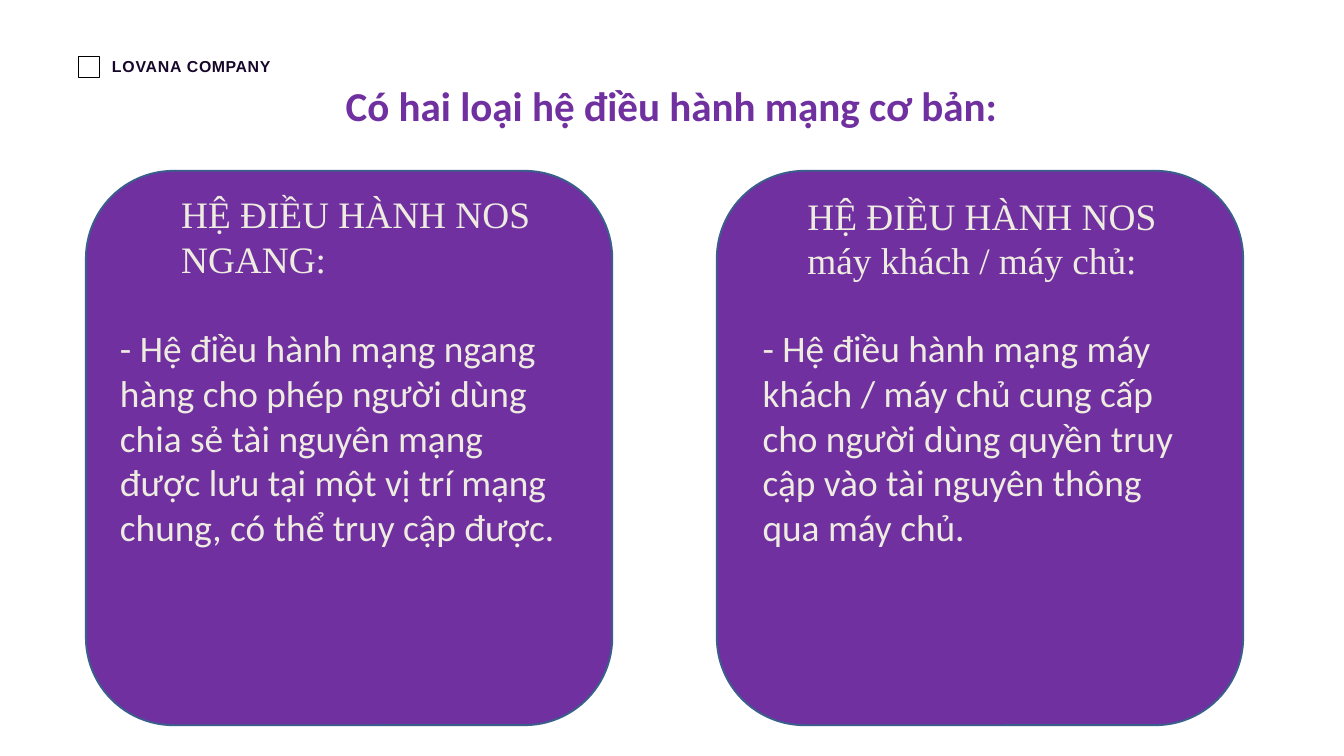
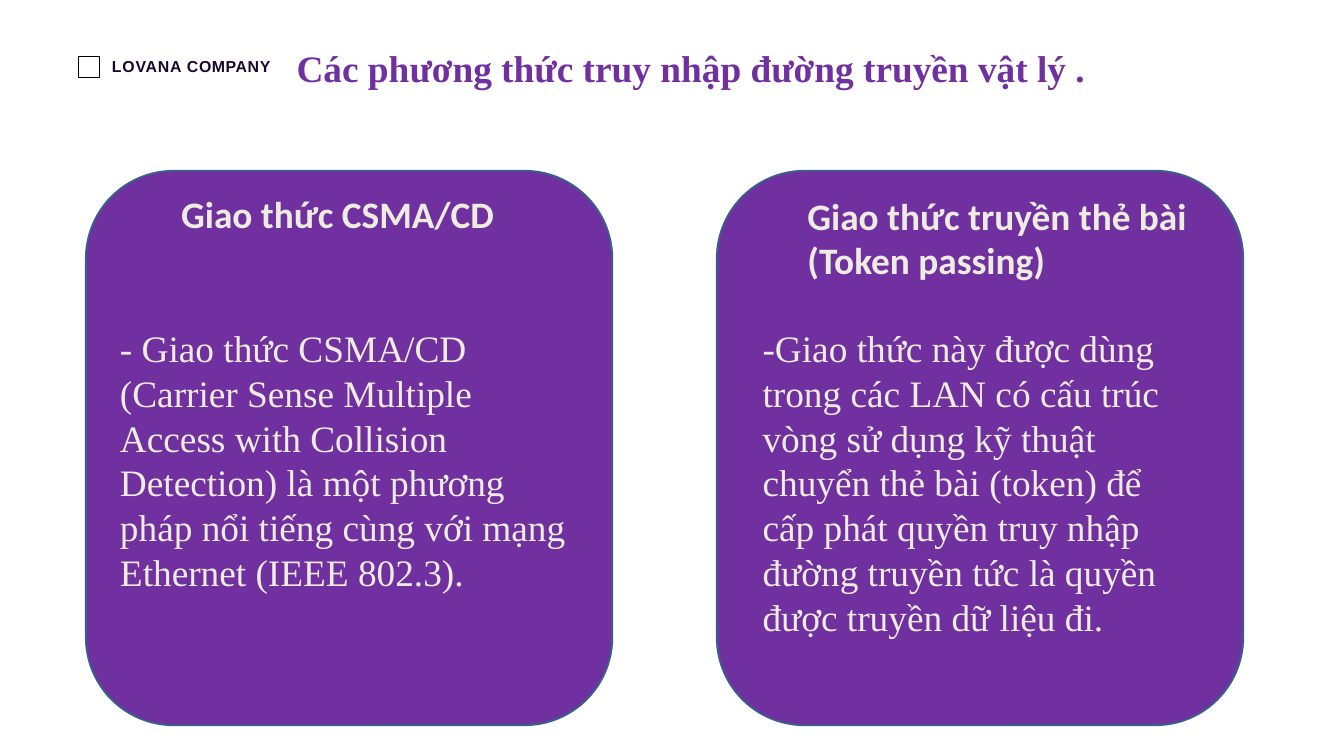
from dataclasses import dataclass

import pptx
import pptx.util
import pptx.dml.color
import pptx.enum.shapes
import pptx.enum.text

Pt = pptx.util.Pt
RGB = pptx.dml.color.RGBColor.from_string
ALIGN = pptx.enum.text.PP_ALIGN
ROUND = pptx.enum.shapes.MSO_SHAPE.ROUNDED_RECTANGLE
SQUARE = pptx.enum.shapes.MSO_SHAPE.RECTANGLE


@dataclass(frozen=True)
class Theme:
    purple: str = "7030A0"
    outline: str = "3A5F8C"
    cream: str = "EEECE1"
    ink: str = "17072A"
    black: str = "000000"
    white: str = "FFFFFF"
    sans: str = "Calibri"
    serif: str = "Times New Roman"
    brand_font: str = "Arial"
    brand_size: float = 17
    text_size: float = 40


T = Theme()

# Shared layout: left, top, width, height of each region
BRAND = (84, 60, 212, 23)
CARD_TOP, CARD_W, CARD_H = 183, 564, 594
CARD_LEFTS = (92, 768)
BODY_DY = 162
# Per column: heading dx, dy, width, then body dx, width
COLUMNS = ((95, 18, 414, 29.5, 498), (90, 20, 430, 42, 479))


def place(sp, box):
    sp.left, sp.top, sp.width, sp.height = (Pt(v) for v in box)


def write(sp, text, *, size=T.text_size, font=T.sans, color=T.cream,
          bold=False, align=ALIGN.LEFT, insets=None, before=0):
    """Fill a shape with one paragraph; text is a string or (string, tracking) pairs."""
    tf = sp.text_frame
    tf.word_wrap = True
    tf.auto_size = pptx.enum.text.MSO_AUTO_SIZE.NONE
    tf.vertical_anchor = pptx.enum.text.MSO_ANCHOR.TOP
    if insets:
        tf.margin_left, tf.margin_top, tf.margin_right, tf.margin_bottom = map(Pt, insets)
    p = tf.paragraphs[0]
    p.alignment = align
    p.space_before = Pt(before)
    for part, tracking in [(text, 0)] if isinstance(text, str) else text:
        r = p.add_run()
        r.text = part
        r.font.size, r.font.name, r.font.bold = Pt(size), font, bold
        r.font.color.rgb = RGB(color)
        if tracking:
            r._r.get_or_add_rPr().set("spc", str(round(tracking * 100)))


def add_text(s, box, text, **fmt):
    sp = s.shapes.add_textbox(*(Pt(v) for v in box))
    write(sp, text, **fmt)


def add_box(s, kind, box, line, width, fill=None):
    sp = s.shapes.add_shape(kind, *(Pt(v) for v in box))
    sp.shadow.inherit = False
    if fill:
        sp.fill.solid()
        sp.fill.fore_color.rgb = RGB(fill)
    else:
        sp.fill.background()
    sp.line.color.rgb = RGB(line)
    sp.line.width = Pt(width)


def add_brand(s, box):
    x, y, w, h = box
    add_box(s, SQUARE, (x, y, h, h), T.black, 0.95)
    add_text(s, (x + 36, y, w - 36, h), [("LOVANA ", 0.8), ("COMPANY", 0.6)],
             size=T.brand_size, font=T.brand_font, color=T.ink, bold=True,
             insets=(0, 0.7, 0, 0), before=1)


def add_card(s, box, column, heading, body, heading_fmt, body_fmt):
    x, y, w, h = box
    head_dx, head_dy, head_w, body_dx, body_w = column
    add_box(s, ROUND, box, T.outline, 2, T.purple)
    add_text(s, (x + head_dx, y + head_dy, head_w, 104), heading, **heading_fmt)
    add_text(s, (x + body_dx, y + BODY_DY, body_w, 346), body, **body_fmt)


def add_comparison(prs, title, title_box, title_fmt, cards, heading_fmt, body_fmt):
    s = prs.slides.add_slide(prs.slide_layouts[5])
    # Header
    add_brand(s, BRAND)
    place(s.shapes.title, title_box)
    write(s.shapes.title, title, color=T.purple, bold=True, align=ALIGN.CENTER,
          insets=(0, 0, 0, 0), **title_fmt)
    # Two cards
    for left, column, (heading, body) in zip(CARD_LEFTS, COLUMNS, cards):
        add_card(s, (left, CARD_TOP, CARD_W, CARD_H), column, heading, body,
                 heading_fmt, body_fmt)


def main():
    prs = pptx.Presentation()
    prs.slide_width, prs.slide_height = Pt(1440), Pt(810)
    bg = prs.slide_master.background.fill
    bg.solid()
    bg.fore_color.rgb = RGB(T.white)

    # Types of network operating system
    add_comparison(
        prs, "Có hai loại hệ điều hành mạng cơ bản:",
        (138, 86, 1164, 53), dict(size=44),
        [("HỆ ĐIỀU HÀNH NOS NGANG:",
          "- Hệ điều hành mạng ngang hàng cho phép người dùng chia sẻ tài nguyên "
          "mạng được lưu tại một vị trí mạng chung, có thể truy cập được."),
         ("HỆ ĐIỀU HÀNH NOS máy khách / máy chủ:",
          "- Hệ điều hành mạng máy khách / máy chủ cung cấp cho người dùng quyền "
          "truy cập vào tài nguyên thông qua máy chủ.")],
        heading_fmt=dict(font=T.serif), body_fmt=dict(font=T.sans))

    # Media access methods
    add_comparison(
        prs, "Các phương thức truy nhập đường truyền vật lý .",
        (158, 48, 1164, 102), dict(font=T.serif),
        [("Giao thức CSMA/CD",
          "- Giao thức CSMA/CD (Carrier Sense Multiple Access with Collision "
          "Detection) là một phương pháp nổi tiếng cùng với mạng Ethernet "
          "(IEEE 802.3)."),
         ("Giao thức truyền thẻ bài (Token passing)",
          "-Giao thức này được dùng trong các LAN có cấu trúc vòng sử dụng kỹ thuật "
          "chuyển thẻ bài (token) để cấp phát quyền truy nhập đường truyền tức là "
          "quyền được truyền dữ liệu đi.")],
        heading_fmt=dict(font=T.sans, bold=True), body_fmt=dict(font=T.serif))

    prs.save("out.pptx")


if __name__ == "__main__":
    main()
